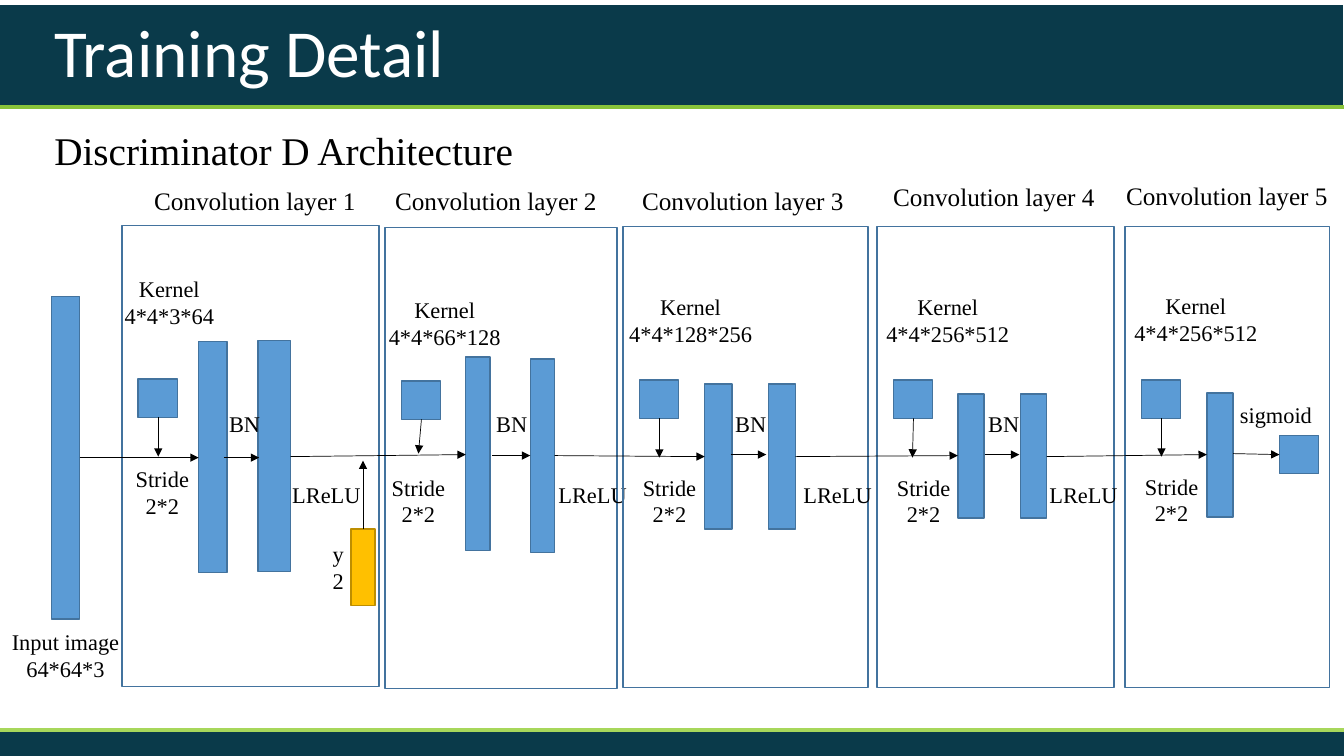
from dataclasses import dataclass
from lxml.etree import SubElement as Sub
from pptx import Presentation
from pptx.dml.color import RGBColor as RGB
from pptx.enum.shapes import MSO_CONNECTOR as Conn, MSO_SHAPE as Kind
from pptx.enum.text import MSO_AUTO_SIZE as Fit, PP_ALIGN as Align
from pptx.oxml.ns import qn
from pptx.util import Inches, Pt


@dataclass(frozen=True)
class Theme:
    """Colours, fonts and type sizes of the slide."""
    navy: str = "0A3A4A"
    green: str = "88C33A"
    lime: str = "A7D75B"
    blue: str = "5B9BD5"
    edge: str = "43739E"
    gold: str = "FFC000"
    rust: str = "BD8E00"
    black: str = "000000"
    white: str = "FFFFFF"
    sans: str = "Calibri"
    serif: str = "Times New Roman"
    title: int = 48
    head: int = 28
    layer: int = 18
    label: int = 16


theme = Theme()
deck = Presentation()
deck.slide_width, deck.slide_height = Inches(13.33), Inches(7.5)
slide = deck.slides.add_slide(deck.slide_layouts[6])
shapes = slide.shapes


def write(text, at, size=theme.label, font=theme.serif, color=theme.black,
          align=Align.CENTER, wrap=False):
    """Add a text box, with one paragraph for each line of text."""
    frame = shapes.add_textbox(*map(Inches, at)).text_frame
    frame.word_wrap = wrap
    frame.auto_size = Fit.SHAPE_TO_FIT_TEXT
    frame.text = text
    for para in frame.paragraphs:
        para.alignment = align
        para.font.size = Pt(size)
        para.font.name = font
        para.font.color.rgb = RGB.from_string(color)


def draw(at, fill=theme.blue, edge=theme.edge):
    """Add a rectangle; None leaves out its fill or its edge."""
    box = shapes.add_shape(Kind.RECTANGLE, *map(Inches, at))
    box.shadow.inherit = False
    for part, color in ((box.fill, fill), (box.line.fill, edge)):
        if color:
            part.solid()
            part.fore_color.rgb = RGB.from_string(color)
        else:
            part.background()
    if edge:
        box.line.width = Pt(1)


# Bands and headings
draw((-0.02, 0.05, 13.34, 1), theme.navy, None)
draw((-0.01, 7.26, 13.34, 0.29), theme.navy, None)
write("Training Detail", (0.44, 0.05, 8.27, 0.91), size=theme.title,
      font=theme.sans, color=theme.white, align=Align.LEFT, wrap=True)
write("Discriminator D Architecture", (0.44, 1.2, 4.8, 0.57),
      size=theme.head, align=Align.LEFT)

# Input image and condition y
draw((0.51, 2.94, 0.28, 3.2))
write("Input image\n64*64*3", (0.01, 6.18, 1.28, 0.64))
draw((3.48, 5.25, 0.24, 0.76), theme.gold, theme.rust)
write("y\n2", (3.2, 5.31, 0.31, 0.64))

# Layers: frame (left, top, width), title (left, top), kernel size and
# place (left, top, width), stride (left, top), tip of the kernel arrow,
# bars (left, top, width, height), left of LReLU
layers = [
    ((1.21, 2.24, 2.55), (1.43, 1.79), "4*4*3*64", (1.13, 2.68, 1.1),
     (1.24, 4.57), (1.57, 4.53),
     [(1.97, 3.39, 0.28, 2.29), (2.56, 3.38, 0.32, 2.29)], 2.8),
    ((3.82, 2.26, 2.3), (3.82, 1.79), "4*4*66*128", (3.75, 2.89, 1.32),
     (3.78, 4.65), (4.15, 4.5),
     [(4.62, 3.54, 0.24, 1.92), (5.26, 3.56, 0.24, 1.92)], 5.44),
    ((6.18, 2.25, 2.43), (6.27, 1.79), "4*4*128*256", (6.13, 2.86, 1.44),
     (6.27, 4.65), (6.54, 4.54),
     [(6.99, 3.81, 0.27, 1.44), (7.62, 3.81, 0.27, 1.44)], 7.87),
    ((8.7, 2.25, 2.35), (8.76, 1.75), "4*4*256*512", (8.68, 2.86, 1.44),
     (8.79, 4.65), (9.05, 4.54),
     [(9.5, 3.91, 0.26, 1.23), (10.12, 3.91, 0.26, 1.23)], 10.31),
    ((11.16, 2.25, 2.03), (11.07, 1.74), "4*4*256*512", (11.14, 2.85, 1.44),
     (11.25, 4.64), (11.52, 4.53), [(11.97, 3.9, 0.26, 1.23)], None),
]
drops = []
for num, (frame, head, kernel, place, stride, tip, bars, relu) in enumerate(layers, 1):
    left, top, width = frame
    draw((left, top, width, 4.57), fill=None)
    write(f"Convolution layer {num}", (*head, 2.22, 0.4),
          size=theme.layer, align=Align.LEFT)
    draw((left + 0.16, top + 1.52, 0.39, 0.38))
    drops.append((left + 0.36, top + 1.9, *tip))
    write(f"Kernel\n{kernel}", (*place, 0.64))
    write("Stride\n2*2", (*stride, 0.74, 0.64))
    for bar in bars:
        draw(bar)
    if relu:
        write("BN", (bars[0][0] + 0.2, 4.02, 0.51, 0.37))
        write("LReLU", (relu, 4.72, 0.89, 0.37), align=Align.LEFT)

# Output
draw((12.69, 4.32, 0.39, 0.38))
write("sigmoid", (12.19, 3.93, 0.93, 0.37))

# Rules and arrows, each from x, y to x, y
rules = [(-0.01, 1.06, 13.33, 1.06, theme.green),
         (-0.01, 7.24, 13.33, 7.24, theme.lime)]
flows = [
    (0.79, 4.54, 1.97, 4.54), (2.22, 4.54, 2.57, 4.54),
    (2.88, 4.53, 4.62, 4.51), (4.88, 4.52, 5.26, 4.52),
    (5.5, 4.52, 6.99, 4.53), (7.25, 4.51, 7.6, 4.51),
    (7.89, 4.53, 9.5, 4.52), (9.77, 4.51, 10.11, 4.51),
    (10.38, 4.53, 11.97, 4.51), (12.23, 4.5, 12.69, 4.51),
    (3.6, 5.25, 3.6, 4.57),
]
for *ends, color in rules + [(*flow, theme.black) for flow in flows + drops]:
    line = shapes.add_connector(Conn.STRAIGHT, *map(Inches, ends))
    line.line.color.rgb = RGB.from_string(color)
    arrow = color == theme.black
    line.line.width = Pt(0.5 if arrow else 2.5)
    props = line.element.spPr
    if arrow:
        Sub(props.find(qn("a:ln")), qn("a:tailEnd"), type="triangle")
    Sub(props, qn("a:effectLst"))

deck.save("out.pptx")
